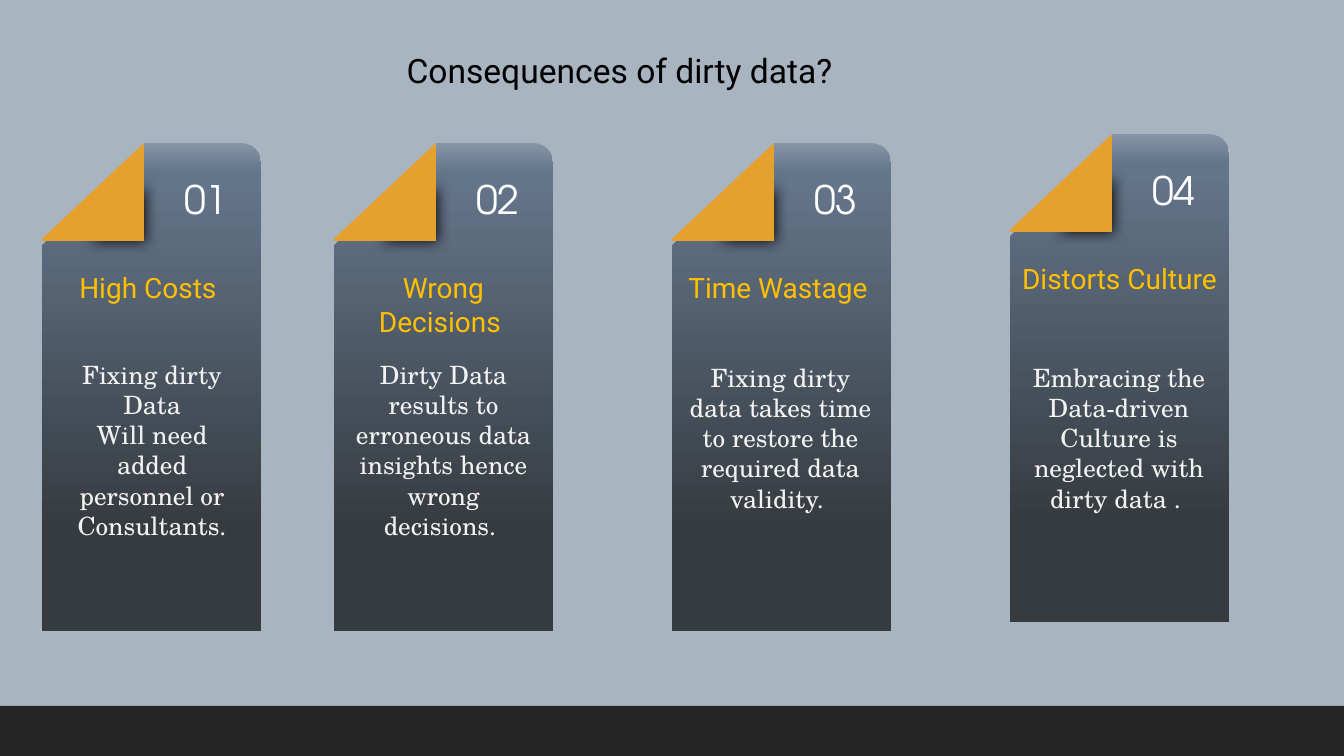
from dataclasses import dataclass

from lxml import etree
from pptx import Presentation
from pptx import util as u
from pptx.dml.color import RGBColor
from pptx.enum import shapes, text
from pptx.oxml import ns

EMU_PER_PIXEL = 914400 / 100.8
CARD_WIDTH, CARD_HEIGHT = 219, 488


@dataclass(frozen=True)
class Theme:
    background: str = "A9B4C1"
    footer: str = "262626"
    fold: str = "E6A02E"
    fold_shadow: str = "0D0D0D"
    title: str = "000000"
    number: str = "FFFFFF"
    heading: str = "FFC000"
    body: str = "F2F2F2"
    panel: tuple[tuple[int, str], ...] = (
        (0, "8595A7"), (6, "63758A"), (8, "63758A"), (79, "363B40"))
    sans: str = "Roboto"
    digits: str = "TeX Gyre Adventor"
    serif: str = "TeX Gyre Schola"
    title_size: int = 24
    number_size: int = 28
    heading_size: int = 20
    body_size: int = 18
    soft_edge: int = 10


@dataclass(frozen=True)
class Box:
    left: int
    top: int
    width: int
    height: int

    def emu(self) -> tuple[int, ...]:
        return tuple(px(n) for n in (self.left, self.top, self.width, self.height))


@dataclass(frozen=True)
class Style:
    font: str
    size: int
    color: str


@dataclass(frozen=True)
class Consequence:
    left: int
    top: int
    heading: str
    body: str
    body_box: Box


def px(pixels: int) -> int:
    return round(pixels * EMU_PER_PIXEL)


def paint(shape, color: str) -> None:
    shape.fill.solid()
    shape.fill.fore_color.rgb = RGBColor.from_string(color)
    shape.line.fill.background()
    shape.shadow.inherit = False


def add_label(parent, box: Box, words: str, style: Style) -> None:
    frame = parent.add_textbox(*box.emu()).text_frame
    frame.word_wrap = True
    frame.auto_size = text.MSO_AUTO_SIZE.SHAPE_TO_FIT_TEXT
    frame.text = words
    for paragraph in frame.paragraphs:
        paragraph.alignment = text.PP_ALIGN.CENTER
        for run in paragraph.runs:
            run.font.name = style.font
            run.font.size = u.Pt(style.size)
            run.font.color.rgb = RGBColor.from_string(style.color)


def add_panel(parent, box: Box, theme: Theme) -> None:
    panel = parent.add_shape(shapes.MSO_SHAPE.SNIP_ROUND_RECTANGLE, *box.emu())
    panel.adjustments[0] = 0.09
    panel.adjustments[1] = 0.47
    panel.line.fill.background()
    panel.shadow.inherit = False
    panel.fill.gradient()
    panel.fill.gradient_angle = 270
    properties = panel._element.spPr
    properties.find(ns.qn("a:xfrm")).set("flipH", "1")
    stops = properties.find(".//" + ns.qn("a:gsLst"))
    for stop in list(stops):
        stops.remove(stop)
    for percent, color in theme.panel:
        stop = etree.SubElement(stops, ns.qn("a:gs"), pos=str(percent * 1000))
        etree.SubElement(stop, ns.qn("a:srgbClr"), val=color)


def add_fold(parent, box: Box, color: str):
    right, bottom = box.left + box.width, box.top + box.height
    builder = parent.build_freeform(right, box.top, scale=EMU_PER_PIXEL)
    builder.add_line_segments(
        [(right, bottom), (box.left, bottom), (box.left, bottom - 2)], close=True)
    fold = builder.convert_to_shape()
    paint(fold, color)
    return fold


def soften(shape, points: int) -> None:
    effects = shape._element.spPr.find(ns.qn("a:effectLst"))
    etree.SubElement(effects, ns.qn("a:softEdge"), rad=str(u.Pt(points)))


def add_card(slide, number: int, item: Consequence, theme: Theme) -> None:
    card = slide.shapes.add_group_shape().shapes
    left, top = item.left, item.top
    add_panel(card, Box(left, top, CARD_WIDTH, CARD_HEIGHT), theme)
    fold_shadow = add_fold(card, Box(left + 8, top, 110, 113), theme.fold_shadow)
    soften(fold_shadow, theme.soft_edge)
    add_fold(card, Box(left, top, 102, 98), theme.fold)
    add_label(card, Box(left + 118, top + 27, 92, 57), f"{number:02}",
              Style(theme.digits, theme.number_size, theme.number))
    add_label(card, Box(left, top + 123, CARD_WIDTH, 44), item.heading,
              Style(theme.sans, theme.heading_size, theme.heading))
    add_label(slide.shapes, item.body_box, item.body,
              Style(theme.serif, theme.body_size, theme.body))


CONSEQUENCES = (
    Consequence(42, 143, "High Costs ",
                "Fixing dirty\nData\nWill need added personnel or\nConsultants.",
                Box(65, 354, 174, 194)),
    Consequence(334, 143, "Wrong Decisions ",
                "Dirty Data results to erroneous data insights hence wrong decisions. ",
                Box(342, 354, 203, 194)),
    Consequence(672, 143, "Time Wastage ",
                "Fixing dirty data takes time to restore the required data validity. ",
                Box(679, 357, 203, 163)),
    Consequence(1010, 134, "Distorts Culture ",
                "Embracing the Data-driven Culture is neglected with dirty data . ",
                Box(1022, 357, 194, 163)),
)


def main() -> None:
    theme = Theme()
    deck = Presentation()
    deck.slide_width, deck.slide_height = px(1344), px(756)
    slide = deck.slides.add_slide(deck.slide_layouts[6])
    slide.background.fill.solid()
    slide.background.fill.fore_color.rgb = RGBColor.from_string(theme.background)
    footer = slide.shapes.add_shape(
        shapes.MSO_SHAPE.RECTANGLE, *Box(0, 706, 1344, 50).emu())
    paint(footer, theme.footer)
    add_label(slide.shapes, Box(278, 45, 683, 50), "Consequences of dirty data?",
              Style(theme.sans, theme.title_size, theme.title))
    for number, item in enumerate(CONSEQUENCES, start=1):
        add_card(slide, number, item, theme)
    deck.save("out.pptx")


main()
